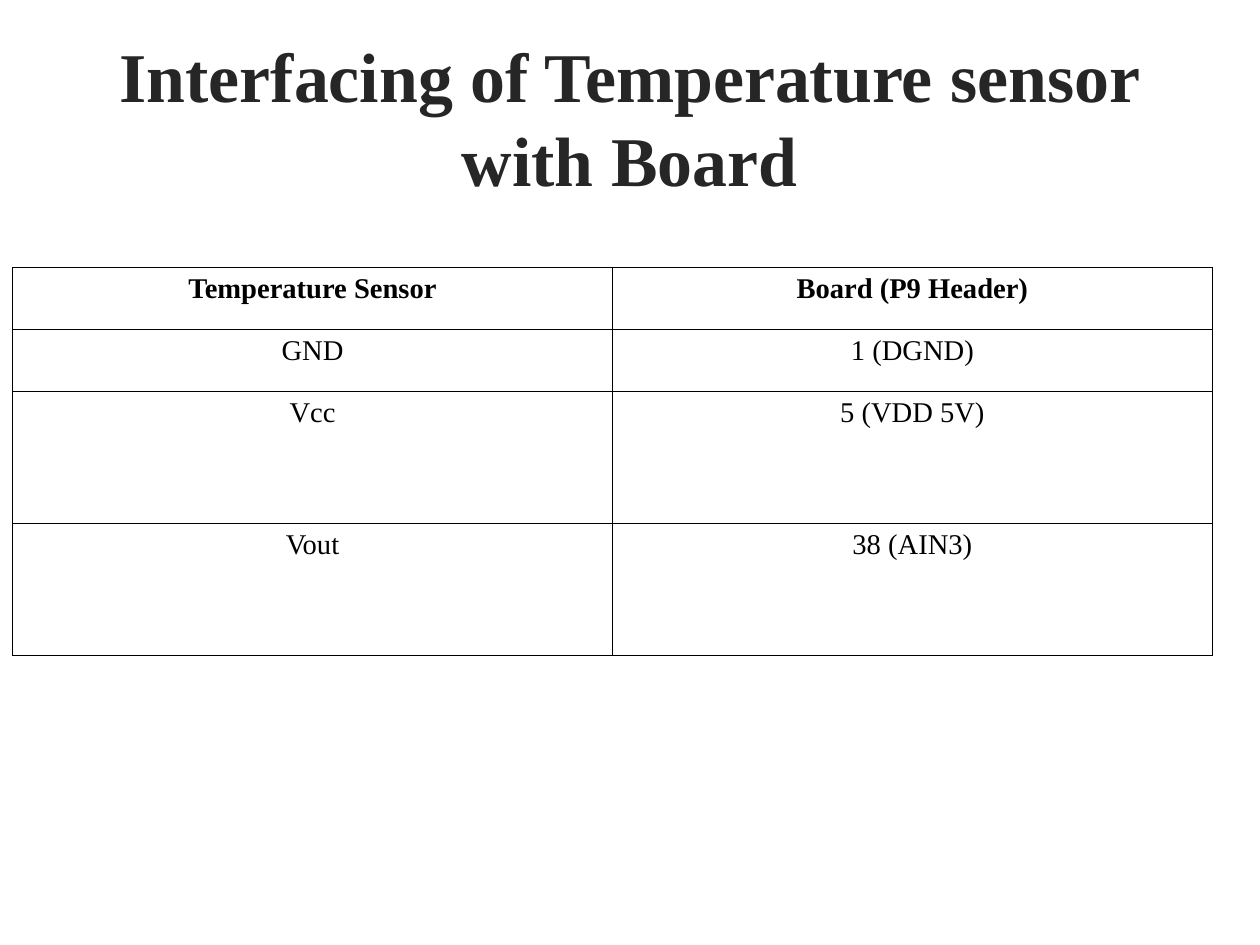
from lxml import etree
from pptx import Presentation
from pptx.dml.color import RGBColor
from pptx.enum import text as t
from pptx.oxml import ns
from pptx.util import Cm, Pt

COLORS = {"title": "262626", "ink": "000000", "paper": "FFFFFF"}
FONT = "Times New Roman"
BOARD = "Board"
PIN_ROWS = [
    ("Temperature Sensor", f"{BOARD} (P9 Header)"),
    ("GND", "1 (DGND)"),
    ("Vcc", "5 (VDD 5V)"),
    ("Vout", "38 (AIN3)"),
]
ROW_HEIGHTS = [1.38, 1.38, 2.93, 2.93]
COLUMN_WIDTH = 13.33


def write_text(frame, content, size=18, bold=False, color="ink"):
    paragraph = frame.paragraphs[0]
    paragraph.alignment = t.PP_ALIGN.CENTER
    run = paragraph.add_run()
    run.text = content
    run.font.name = FONT
    run.font.size = Pt(size)
    run.font.bold = bold
    run.font.color.rgb = RGBColor.from_string(COLORS[color])


def add_title(slide, content):
    shape = slide.shapes.add_textbox(Cm(1.4), Cm(0.84), Cm(25.2), Cm(3.5))
    frame = shape.text_frame
    frame.word_wrap = True
    frame.vertical_anchor = t.MSO_ANCHOR.MIDDLE
    frame.margin_left = frame.margin_right = 0
    frame.margin_top = frame.margin_bottom = 0
    write_text(frame, content, size=44, bold=True, color="title")


def add_borders(cell, width=0.5):
    properties = cell._tc.get_or_add_tcPr()
    for side in ("L", "R", "T", "B"):
        line = etree.SubElement(properties, ns.qn(f"a:ln{side}"), w=str(Pt(width)))
        fill = etree.SubElement(line, ns.qn("a:solidFill"))
        etree.SubElement(fill, ns.qn("a:srgbClr"), val=COLORS["ink"])


def add_pin_table(slide):
    columns = len(PIN_ROWS[0])
    shape = slide.shapes.add_table(
        len(PIN_ROWS), columns, Cm(0.28), Cm(5.94),
        Cm(COLUMN_WIDTH * columns), Cm(sum(ROW_HEIGHTS)))
    table = shape.table
    table.first_row = False
    table.horz_banding = False
    for column in table.columns:
        column.width = Cm(COLUMN_WIDTH)
    for row_index, (labels, height) in enumerate(zip(PIN_ROWS, ROW_HEIGHTS)):
        table.rows[row_index].height = Cm(height)
        for column_index, label in enumerate(labels):
            cell = table.cell(row_index, column_index)
            add_borders(cell)
            cell.fill.solid()
            cell.fill.fore_color.rgb = RGBColor.from_string(COLORS["paper"])
            write_text(cell.text_frame, label, bold=row_index == 0)


def main():
    presentation = Presentation()
    presentation.slide_width = Cm(28)
    presentation.slide_height = Cm(21)
    slide = presentation.slides.add_slide(presentation.slide_layouts[6])
    add_title(slide, f"Interfacing of Temperature sensor with {BOARD}")
    add_pin_table(slide)
    presentation.save("out.pptx")


if __name__ == "__main__":
    main()
